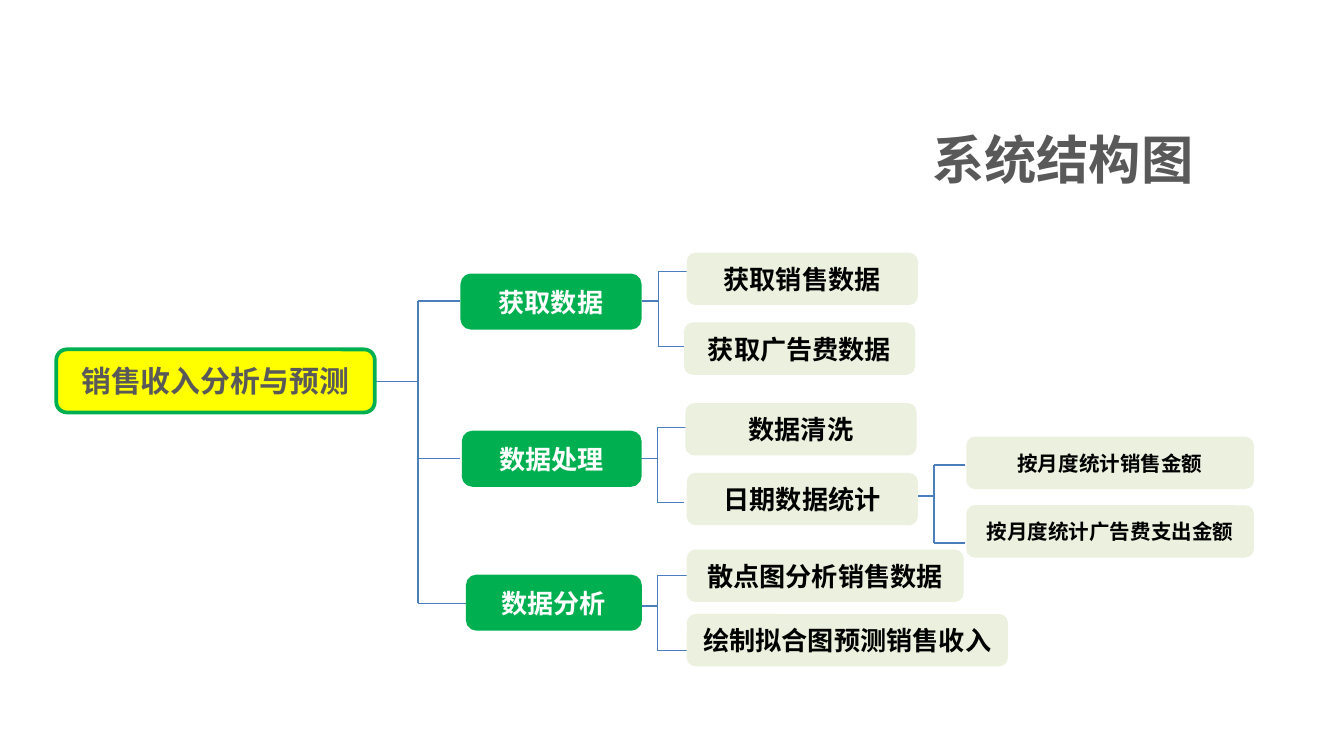
"""Build the system structure tree slide."""
import lxml.etree
import pptx
import pptx.dml.color
import pptx.enum.shapes
import pptx.enum.text
import pptx.oxml.ns
import pptx.util

Pt = pptx.util.Pt
CJK = "Noto Sans CJK SC"
STYLES = {
    "root": {"fill": "FFFF00", "line": "00B050", "color": "595959", "size": 16},
    "branch": {"fill": "00B050", "line": "00B050", "color": "FFFFFF", "size": 14},
    "leaf": {"fill": "EBF1DE", "line": None, "color": "000000", "size": 14},
    "detail": {"fill": "EBF1DE", "line": None, "color": "000000", "size": 11},
}
HEIGHTS = {"root": 33.8, "branch": 28, "leaf": 28, "detail": 28}
NODES = [
    ("root", "销售收入分析与预测", 30.2, 187.2, 170.6),
    ("branch", "获取数据", 247.7, 147.6, 95),
    ("branch", "数据处理", 248.4, 231.8, 94.3),
    ("branch", "数据分析", 250.6, 308.9, 92.2),
    ("leaf", "获取销售数据", 367.9, 135.4, 123.8),
    ("leaf", "获取广告费数据", 366.5, 172.8, 123.8),
    ("leaf", "数据清洗", 367.2, 216, 123.8),
    ("leaf", "日期数据统计", 367.9, 253.4, 123.8),
    ("leaf", "散点图分析销售数据", 367.9, 294.5, 148.3),
    ("leaf", "绘制拟合图预测销售收入", 367.9, 329, 172.1),
    ("detail", "按月度统计销售金额", 517.7, 234, 154.1),
    ("detail", "按月度统计广告费支出金额", 517.7, 270.7, 154.1),
]
BRACKETS = [
    (200.2, 204.5, 223.9, [(246.2, 161.3), (246.2, 245.5), (250.6, 323.3)]),
    (343.8, 161.3, 352.8, [(367.9, 145.4), (367.2, 185.8)]),
    (343.4, 245.5, 352.1, [(367.9, 229), (366.5, 269.3)]),
    (343.4, 324.7, 352.1, [(367.9, 308.2), (367.9, 348.5)]),
    (491.8, 265.7, 500.4, [(517, 249.1), (517, 290.9)]),
]


def rgb(value):
    """Turn a hex string into a colour."""
    return pptx.dml.color.RGBColor.from_string(value)


def write(s, text, align, color, size, name):
    """Put one bold, vertically centred line of text in a shape."""
    tf = s.text_frame
    frame = {"word_wrap": True, "vertical_anchor": pptx.enum.text.MSO_ANCHOR.MIDDLE}
    for key, value in frame.items():
        setattr(tf, key, value)
    p = tf.paragraphs[0]
    p.alignment = align
    r = p.add_run()
    r.text = text
    for key, value in {"name": name, "size": Pt(size), "bold": True}.items():
        setattr(r.font, key, value)
    r.font.color.rgb = rgb(color)
    ea = lxml.etree.SubElement(r.font._element, pptx.oxml.ns.qn("a:ea"))
    ea.set("typeface", CJK)


def add_title(slide, text):
    """Fill the title placeholder and move it."""
    s = slide.shapes.title
    box = {"left": 130.3, "top": 62.6, "width": 516.2, "height": 44.6}
    for key, value in box.items():
        setattr(s, key, Pt(value))
    write(s, text, pptx.enum.text.PP_ALIGN.RIGHT, "595959", 28, CJK)


def add_node(slide, kind, text, left, top, width):
    """Add one rounded box of the tree."""
    style = STYLES[kind]
    s = slide.shapes.add_shape(
        pptx.enum.shapes.MSO_SHAPE.ROUNDED_RECTANGLE,
        Pt(left), Pt(top), Pt(width), Pt(HEIGHTS[kind]))
    s.shadow.inherit = False
    s.fill.solid()
    s.fill.fore_color.rgb = rgb(style["fill"])
    if style["line"]:
        s.line.color.rgb = rgb(style["line"])
        s.line.width = Pt(2)
    else:
        s.line.fill.background()
    for side in ("margin_left", "margin_right"):
        setattr(s.text_frame, side, Pt(0))
    write(s, text, pptx.enum.text.PP_ALIGN.CENTER,
          style["color"], style["size"], "Arial")


def add_line(slide, x1, y1, x2, y2):
    """Add one thin straight line."""
    s = slide.shapes.add_connector(
        pptx.enum.shapes.MSO_CONNECTOR.STRAIGHT, Pt(x1), Pt(y1), Pt(x2), Pt(y2))
    s.line.color.rgb = rgb("4B7EBC")
    s.line.width = Pt(0.75)
    lxml.etree.SubElement(s._element.spPr, pptx.oxml.ns.qn("a:effectLst"))


def add_bracket(slide, start, y, trunk, ends):
    """Join a parent to its children with a stem, a trunk and arms."""
    add_line(slide, start, y, trunk, y)
    add_line(slide, trunk, ends[0][1], trunk, ends[-1][1])
    for end_x, end_y in ends:
        add_line(slide, trunk, end_y, end_x, end_y)


def main():
    """Build and save the slide."""
    prs = pptx.Presentation()
    prs.slide_width, prs.slide_height = Pt(720), Pt(405)
    slide = prs.slides.add_slide(prs.slide_layouts[5])
    add_title(slide, "系统结构图")
    for bracket in BRACKETS:
        add_bracket(slide, *bracket)
    for node in NODES:
        add_node(slide, *node)
    prs.save("out.pptx")


if __name__ == "__main__":
    main()
